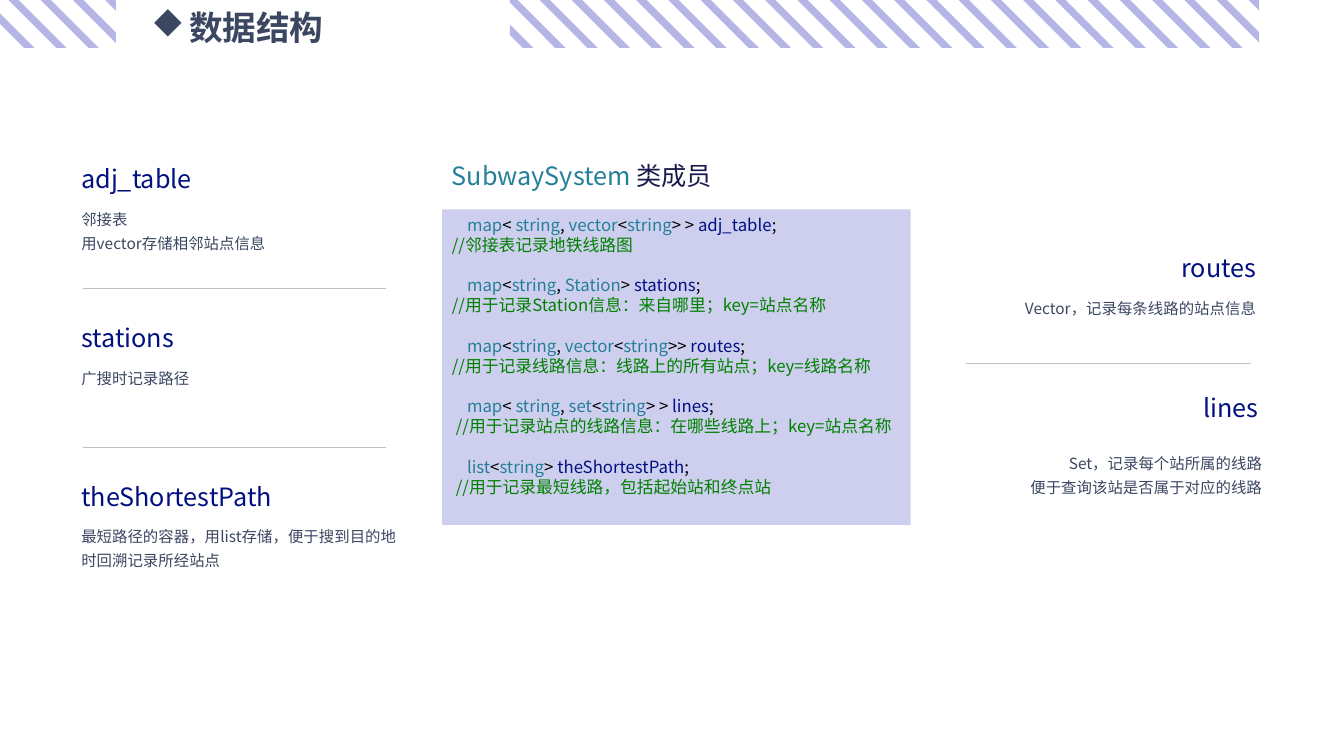
import pptx
import pptx.util
import pptx.dml.color
import pptx.enum.shapes
import pptx.enum.text
import pptx.oxml.ns
from lxml import etree
from pptx.util import Cm

FONT = "Noto Sans CJK SC"
SLATE, NAVY, TEAL, INK = "3B4761", "001080", "267F99", "1A1B4D"
GREEN, BLACK, LILAC, PALE, GREY = "008000", "000000", "B5B6E6", "CECFEE", "BFBFBF"
LEFT = pptx.enum.text.PP_ALIGN.LEFT
RIGHT = pptx.enum.text.PP_ALIGN.RIGHT
MEMBERS = ["adj_table", "stations", "routes", "lines", "theShortestPath"]


def colour(hex_text):
    return pptx.dml.color.RGBColor.from_string(hex_text)


def add_tag(parent, tag, **attributes):
    return etree.SubElement(parent, pptx.oxml.ns.qn(tag), attributes)


def format_span(span, size, hex_text, bold=False):
    span.font.size = pptx.util.Pt(size)
    span.font.bold = bold
    span.font.color.rgb = colour(hex_text)
    span.font.name = FONT
    add_tag(span.font._element, "a:ea", typeface=FONT)


def prepare_frame(shape):
    frame = shape.text_frame
    frame.word_wrap = True
    frame.auto_size = pptx.enum.text.MSO_AUTO_SIZE.NONE
    frame.vertical_anchor = pptx.enum.text.MSO_ANCHOR.TOP
    return frame


def add_text(page, box, lines, size, hex_text, align=LEFT, spacing=1.0):
    frame = prepare_frame(page.shapes.add_textbox(*map(Cm, box)))
    frame.text = "\n".join(lines)
    for para in frame.paragraphs:
        para.alignment = align
        para.line_spacing = spacing
        for span in para.runs:
            format_span(span, size, hex_text)
    return frame


def add_rule(page, start, end, top):
    rule = page.shapes.add_connector(
        pptx.enum.shapes.MSO_CONNECTOR.STRAIGHT, Cm(start), Cm(top), Cm(end), Cm(top))
    rule.line.color.rgb = colour(GREY)
    rule.line.width = pptx.util.Pt(0.25)
    add_tag(rule._element.spPr, "a:effectLst")


def add_stripes(page, box, first, last, count, thickness=0.26):
    """Evenly spaced 45-degree stripes, each clipped to the box."""
    left, top, width, height = box
    pitch = (last - first) / (count - 1)
    for index in range(count):
        low = max(first + index * pitch, -height)
        high = min(first + index * pitch + thickness, width)
        starts = [(max(edge, 0), max(-edge, 0)) for edge in (low, high)]
        ends = [(min(edge + height, width), min(height, width - edge))
                for edge in (high, low)]
        if low < 0 < high:
            starts.insert(1, (0, 0))
        if low < width - height < high:
            ends.insert(1, (width, height))
        points = [(Cm(left + x), Cm(top + y)) for x, y in starts + ends]
        builder = page.shapes.build_freeform(*points[0])
        builder.add_line_segments(points[1:], close=True)
        stripe = builder.convert_to_shape()
        stripe.shadow.inherit = False
        stripe.fill.solid()
        stripe.fill.fore_color.rgb = colour(LILAC)
        stripe.line.fill.background()


def place_title(page, box, words):
    title = page.shapes.title
    title.left, title.top, title.width, title.height = map(Cm, box)
    frame = prepare_frame(title)
    frame.text = words
    para = frame.paragraphs[0]
    para.alignment = LEFT
    format_span(para.runs[0], 24, SLATE, bold=True)
    properties = para._p.get_or_add_pPr()
    properties.set("marL", str(Cm(0.95)))
    properties.set("indent", str(-Cm(0.95)))
    # Diamond bullet: "u" in the symbol font
    add_tag(properties, "a:buFont", typeface="Wingdings", charset="2")
    add_tag(properties, "a:buChar", char="u")


def add_note(page, box, name, lines, align, detail_shift):
    """A member name with its explanation, shifted from the name."""
    left, top, width = box
    across, down = detail_shift
    add_text(page, (left, top, width, 1.02), [name], 18, NAVY, align)
    add_text(page, (left + across, top + down, width, 1.55), lines, 11, SLATE, align, 1.3)


def add_left_notes(page, box, notes):
    left, top, width = box
    pitch = 4
    for index, (name, lines) in enumerate(notes):
        row = top + index * pitch
        add_note(page, (left, row, width), name, lines, LEFT, (0, 1.03))
        if index < len(notes) - 1:
            add_rule(page, left + 0.28, left + 7.93, row + 3.26)


def add_right_notes(page, box, notes):
    left, top, width = box
    for (name, lines), (across, down), shift in zip(
            notes, [(0, 0), (0.05, 3.51)], [(0, 1.04), (0.1, 1.43)]):
        add_note(page, (left + across, top + down, width), name, lines, RIGHT, shift)
    add_rule(page, left + 0.48, left + 7.67, top + 2.9)


def token_colour(token):
    if token in MEMBERS:
        return NAVY
    return TEAL if token.isalpha() else BLACK


def add_code_panel(page, box, declarations):
    left, top, width, height = box
    heading = add_text(page, (left, top, width, 1.02), ["SubwaySystem "], 18, TEAL)
    span = heading.paragraphs[0].add_run()
    span.text = "类成员"
    format_span(span, 18, INK)

    panel = page.shapes.add_shape(
        pptx.enum.shapes.MSO_SHAPE.RECTANGLE,
        *map(Cm, (left, top + 1.37, width, height - 1.37)))
    panel.shadow.inherit = False
    panel.fill.solid()
    panel.fill.fore_color.rgb = colour(PALE)
    panel.line.fill.background()
    frame = prepare_frame(panel)
    for index, (code, comment, comment_indent) in enumerate(declarations):
        code_para = frame.add_paragraph() if index else frame.paragraphs[0]
        if index:
            code_para.space_before = pptx.util.Pt(14.4)
        rows = [(code_para, code.split("|"), 0.38),
                (frame.add_paragraph(), [comment], comment_indent)]
        for para, tokens, indent in rows:
            para.alignment = LEFT
            para._p.get_or_add_pPr().set("indent", str(Cm(indent)))
            for token in tokens:
                span = para.add_run()
                span.text = token
                shade = GREEN if token == comment else token_colour(token)
                format_span(span, 12, shade)


# Full-width punctuation: \uff0c comma, \uff1a colon, \uff1b semicolon
LEFT_NOTES = [
    ("adj_table", ["邻接表", "用vector存储相邻站点信息"]),
    ("stations", ["广搜时记录路径"]),
    ("theShortestPath",
     ["最短路径的容器\uff0c用list存储\uff0c便于搜到目的地时回溯记录所经站点"]),
]
RIGHT_NOTES = [
    ("routes", ["Vector\uff0c记录每条线路的站点信息"]),
    ("lines", ["Set\uff0c记录每个站所属的线路", "便于查询该站是否属于对应的线路"]),
]
DECLARATIONS = [
    ("map|< |string|, |vector|<|string|> > |adj_table|;", "//邻接表记录地铁线路图", 0),
    ("map|<|string|, |Station|> |stations|;",
     "//用于记录Station信息\uff1a来自哪里\uff1bkey=站点名称", 0),
    ("map|<|string|, |vector|<|string|>> |routes|;",
     "//用于记录线路信息\uff1a线路上的所有站点\uff1bkey=线路名称", 0),
    ("map|< |string|, |set|<|string|> > |lines|;",
     "//用于记录站点的线路信息\uff1a在哪些线路上\uff1bkey=站点名称", 0.1),
    ("list|<|string|> |theShortestPath|;",
     "//用于记录最短线路\uff0c包括起始站和终点站", 0.1),
]

deck = pptx.Presentation()
deck.slide_width, deck.slide_height = Cm(33.87), Cm(19.05)
page = deck.slides.add_slide(deck.slide_layouts[5])

# Header band, bleeding over the top edge
add_stripes(page, (12.85, -0.97, 18.88, 2.18), first=-1.85, last=17.65, count=25)
add_stripes(page, (-1.57, -0.97, 4.49, 2.18), first=0, last=3.25, count=5)
place_title(page, (3.56, 0.05, 9.3, 1.27), "数据结构")

# Class members and their notes
add_left_notes(page, (1.8, 4, 8.61), LEFT_NOTES)
add_right_notes(page, (23.86, 6.24, 8.05), RIGHT_NOTES)
add_code_panel(page, (11.14, 3.91, 11.81, 9.32), DECLARATIONS)

deck.save("out.pptx")
